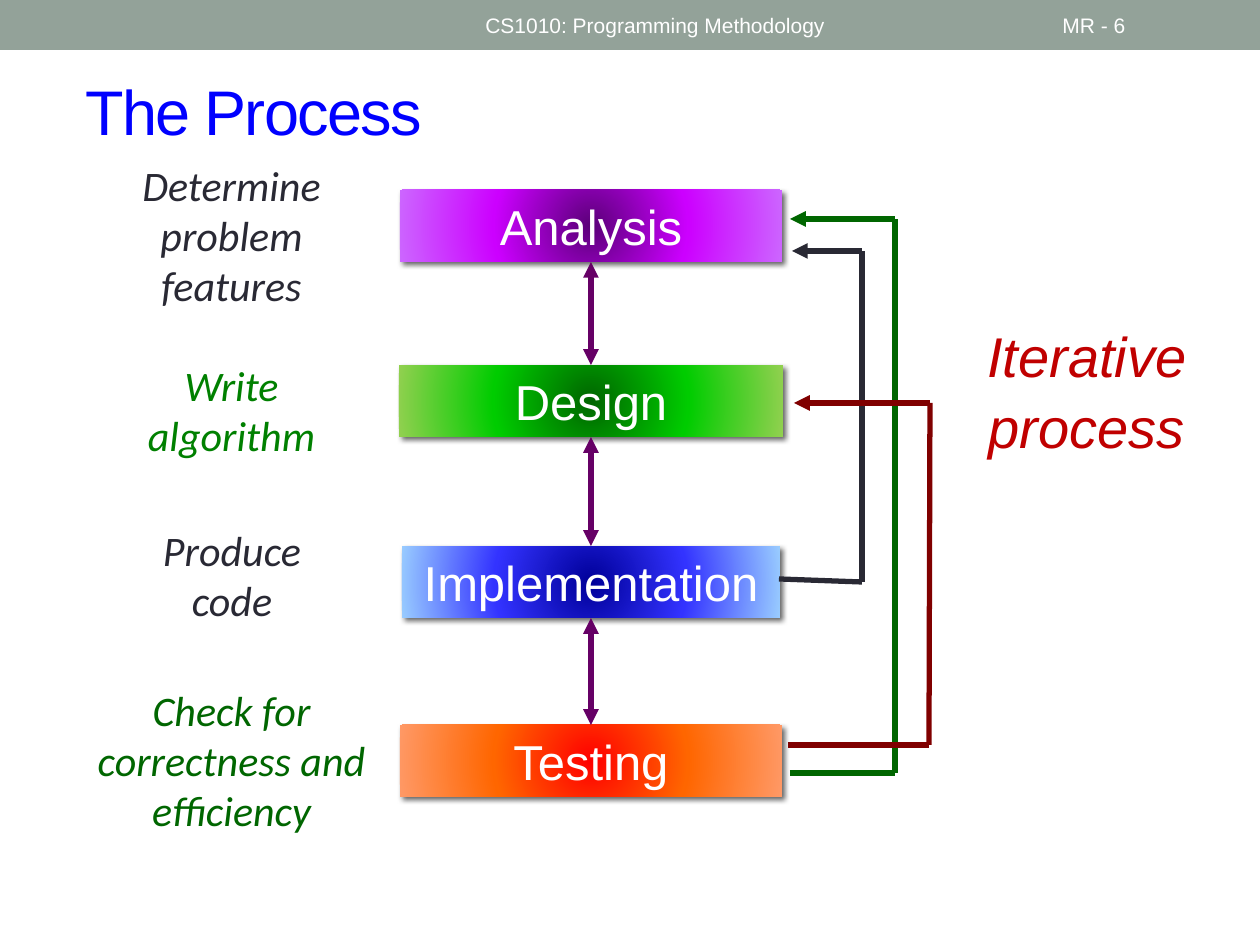
from dataclasses import dataclass
from itertools import pairwise

from pptx import Presentation
from pptx.dml.color import RGBColor
from pptx.enum.shapes import MSO_CONNECTOR as Connector, MSO_SHAPE as Shape
from pptx.enum.text import MSO_ANCHOR as Anchor, MSO_AUTO_SIZE as AutoSize, PP_ALIGN as Align
from pptx.oxml import parse_xml
from pptx.oxml.ns import nsdecls
from pptx.util import Emu, Pt


@dataclass(frozen=True)
class Theme:
    sans: str = "Arial"
    note: str = "Calibri"
    small: int = 12
    body: int = 24
    stage: int = 28
    callout: int = 32
    title: int = 36
    white: str = "FFFFFF"
    bar: str = "93A299"
    blue: str = "0000FF"
    dark: str = "292934"
    green: str = "008000"
    forest: str = "006600"
    maroon: str = "800000"
    red: str = "C00000"
    purple: str = "660066"
    analysis: tuple = ("5B0079", "CC00FF", "CC66FF")
    design: tuple = ("006600", "00CC00", "92D050")
    implementation: tuple = ("000099", "3333FF", "99CCFF")
    testing: tuple = ("FF0000", "FF6600", "FF9966")


THEME = Theme()
EMU_PER_PX = 914400 / 126


def px(*lengths):
    return [Emu(round(length * EMU_PER_PX)) for length in lengths]


def apply(target, formats):
    for name, value in formats.items():
        setattr(target, name, value)


class SlideBuilder:
    def __init__(self, slide, theme):
        self.slide = slide
        self.theme = theme

    def fill_text(self, shape, text, size, color, font=None, italic=False,
                  align=Align.LEFT, anchor=Anchor.TOP, spacing=1.0):
        frame = shape.text_frame
        apply(frame, {"word_wrap": True, "auto_size": AutoSize.NONE, "vertical_anchor": anchor})
        paragraph = frame.paragraphs[0]
        apply(paragraph, {"alignment": align, "line_spacing": spacing})
        run = paragraph.add_run()
        run.text = text
        apply(run.font, {"name": font or self.theme.sans, "size": Pt(size), "italic": italic})
        run.font.color.rgb = RGBColor.from_string(color)
        return run

    def title(self, text, box):
        shape = self.slide.shapes.title
        apply(shape, dict(zip(("left", "top", "width", "height"), px(*box))))
        run = self.fill_text(shape, text, self.theme.title, self.theme.blue, anchor=Anchor.MIDDLE)
        run.font._element.set("spc", "-100")

    def text(self, text, box, size, color, **formats):
        self.fill_text(self.slide.shapes.add_textbox(*px(*box)), text, size, color, **formats)

    def rectangle(self, box):
        shape = self.slide.shapes.add_shape(Shape.RECTANGLE, *px(*box))
        shape.shadow.inherit = False
        shape.line.fill.background()
        return shape

    def bar(self, box, color):
        fill = self.rectangle(box).fill
        fill.solid()
        fill.fore_color.rgb = RGBColor.from_string(color)

    def stage(self, text, box, colors):
        shape = self.rectangle(box)
        stops = "".join(
            f'<a:gs pos="{index * 50000}"><a:srgbClr val="{color}"/></a:gs>'
            for index, color in enumerate(colors))
        properties = shape._element.spPr
        properties.find("{*}prstGeom").addnext(parse_xml(
            f'<a:gradFill {nsdecls("a")} rotWithShape="1"><a:gsLst>{stops}</a:gsLst>'
            '<a:path path="circle"><a:fillToRect l="50000" t="50000" r="50000" b="50000"/>'
            '</a:path></a:gradFill>'))
        properties.find("{*}effectLst").append(parse_xml(
            f'<a:outerShdw {nsdecls("a")} blurRad="38100" dist="25400" dir="2700000">'
            '<a:srgbClr val="000000"><a:alpha val="60000"/></a:srgbClr></a:outerShdw>'))
        self.fill_text(shape, text, self.theme.stage, self.theme.white,
                       align=Align.CENTER, anchor=Anchor.BOTTOM, spacing=1.05)

    def line(self, start, end, color, arrows=()):
        connector = self.slide.shapes.add_connector(Connector.STRAIGHT, *px(*start, *end))
        connector.line.width = Pt(3)
        connector.line.color.rgb = RGBColor.from_string(color)
        outline = connector.line._get_or_add_ln()
        for arrow in arrows:
            outline.append(parse_xml(f'<a:{arrow} {nsdecls("a")} type="triangle"/>'))
        connector._element.spPr.append(parse_xml(f'<a:effectLst {nsdecls("a")}/>'))

    def route(self, points, color):
        segments = list(pairwise(points))
        for start, end in segments[:-1]:
            self.line(start, end, color)
        self.line(*segments[-1], color, ("tailEnd",))


def main():
    presentation = Presentation()
    presentation.slide_width, presentation.slide_height = px(1260, 945)
    slide = presentation.slides.add_slide(presentation.slide_layouts[5])
    builder = SlideBuilder(slide, THEME)

    builder.bar((0, 0, 1260, 50), THEME.bar)
    builder.title("The Process", (73, 63, 1124, 94))
    for text, left, width in (("CS1010: Programming Methodology", 473, 567),
                              ("MR - 6", 1050, 147)):
        builder.text(text, (left, 3, width, 45), THEME.small, THEME.white, anchor=Anchor.MIDDLE)

    center, stage_height = 591, 72
    stages = (
        ("Analysis", 190, 382, THEME.analysis),
        ("Design", 365, 384, THEME.design),
        ("Implementation", 546, 378, THEME.implementation),
        ("Testing", 725, 382, THEME.testing),
    )
    for text, top, width, colors in stages:
        builder.stage(text, (center - width // 2, top, width, stage_height), colors)
    for (_, upper, *_), (_, lower, *_) in pairwise(stages):
        builder.line((center, upper + stage_height), (center, lower),
                     THEME.purple, ("headEnd", "tailEnd"))

    routes = (
        (THEME.dark, ((779, 579), (862, 582), (862, 251), (792, 251))),
        (THEME.forest, ((790, 773), (895, 773), (895, 219), (790, 219))),
        (THEME.maroon, ((788, 745), (929, 745), (930, 403), (794, 403))),
    )
    for color, points in routes:
        builder.route(points, color)

    builder.text("Iterative process", (945, 312, 284, 149), THEME.callout, THEME.red,
                 italic=True, align=Align.CENTER, spacing=1.05)
    notes = (
        ("Determine problem features", (79, 153, 305, 165), THEME.dark),
        ("Write algorithm", (84, 353, 295, 115), THEME.green),
        ("Produce code", (115, 518, 234, 115), THEME.dark),
        ("Check for correctness and efficiency", (57, 678, 349, 165), THEME.forest),
    )
    for text, box, color in notes:
        builder.text(text, box, THEME.body, color, font=THEME.note,
                     italic=True, align=Align.CENTER)

    presentation.save("out.pptx")


if __name__ == "__main__":
    main()
